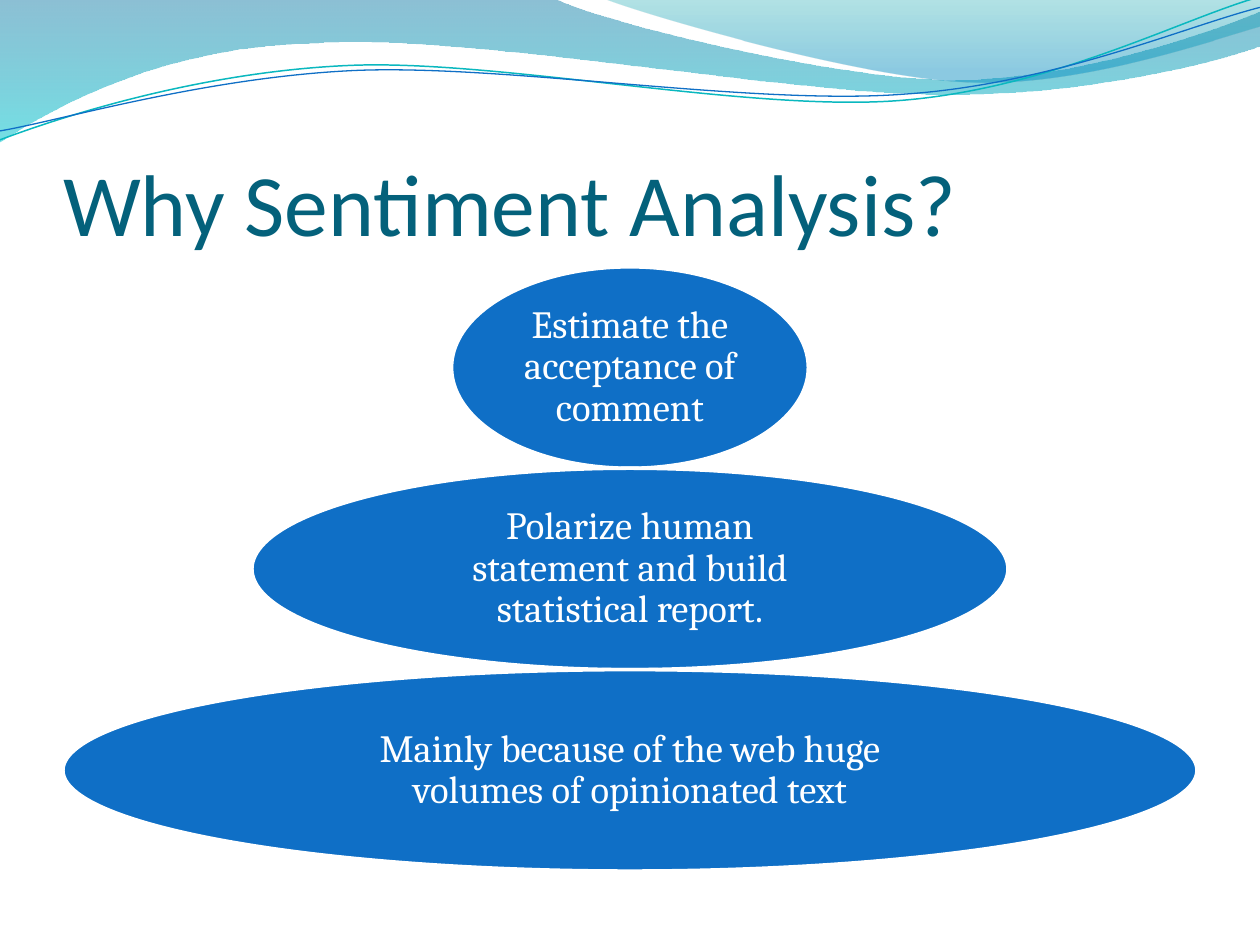
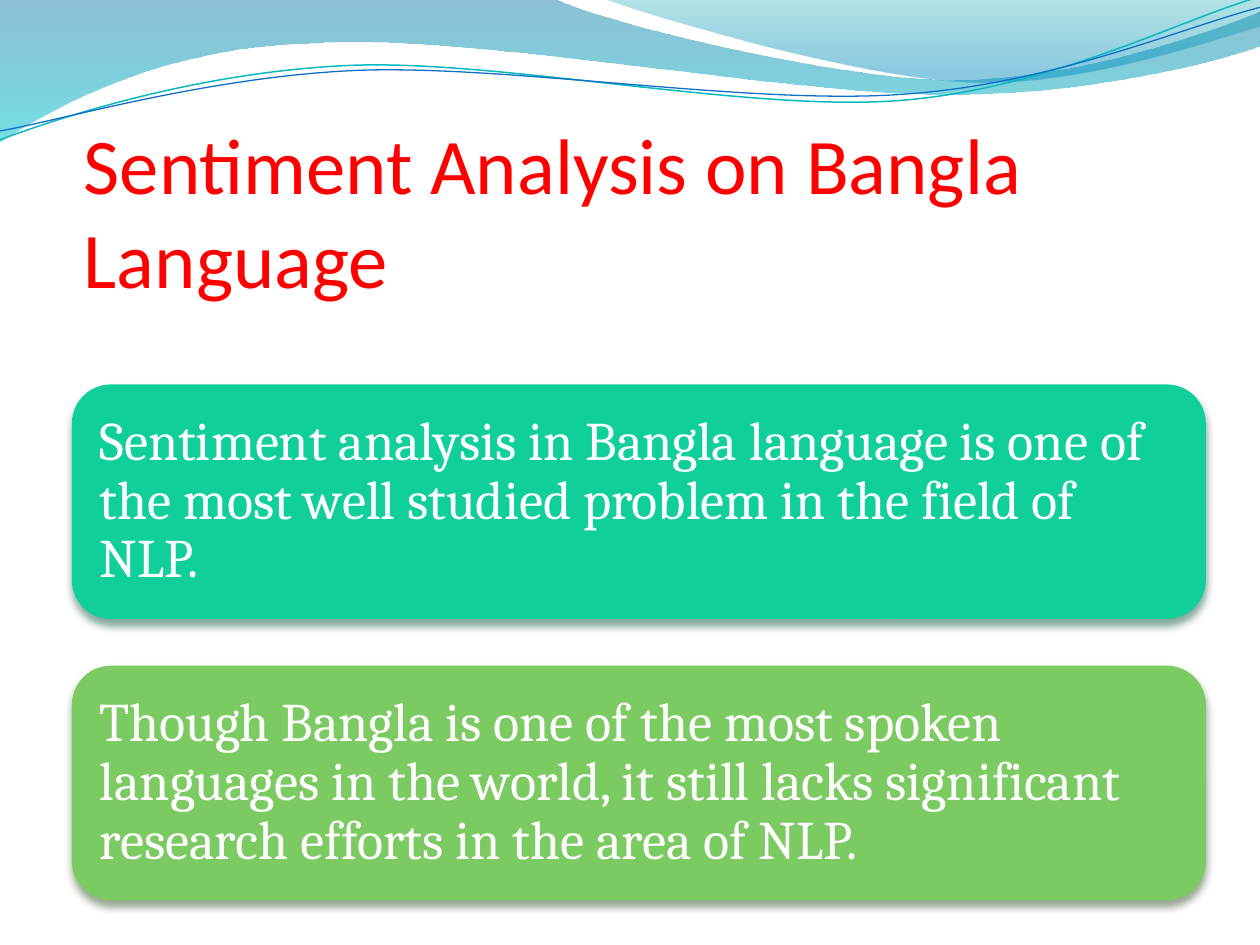
from lxml.etree import Element, SubElement
from pptx import Presentation
from pptx.dml.color import RGBColor
from pptx.enum.shapes import MSO_SHAPE
from pptx.enum.text import MSO_ANCHOR, MSO_AUTO_SIZE, PP_ALIGN
from pptx.oxml.ns import qn
from pptx.util import Cm, Pt

COLORS = {
    "title": "04617B", "red": "FF0000", "white": "FFFFFF", "blue": "0F6FC6",
    "teal": "0AB8BF", "mint": "10CF9B", "mint_shadow": "044A37",
    "green": "7CCA62", "green_shadow": "2B4821",
    "band_top": "0074A1", "band_bottom": "00C6CF",
    "corner_top": "00A1A9", "corner_bottom": "008BBF",
}
COLORS = {name: RGBColor.from_string(value) for name, value in COLORS.items()}
CONTENT_WIDTH = 22.86


def add_wave(shapes, start, segments, close):
    """Draw a freeform; a segment of one point is a line, of three a Bezier curve."""
    builder = shapes.build_freeform(Cm(start[0]), Cm(start[1]))
    builder.add_line_segments(
        [(Cm(x), Cm(y)) for segment in segments for x, y in segment], close=close)
    wave = builder.convert_to_shape()
    wave.shadow.inherit = False
    lines = wave.element.iter(qn("a:lnTo"))
    lines = iter(list(lines))
    for segment in segments:
        group = [next(lines) for _ in segment]
        if len(group) == 3:
            curve = Element(qn("a:cubicBezTo"))
            group[0].addprevious(curve)
            for line in group:
                curve.append(line[0])
                line.getparent().remove(line)
    return wave


def write_text(shape, text, size, font="Cambria", color="white", align=PP_ALIGN.LEFT,
               anchor=MSO_ANCHOR.MIDDLE, margins=(0, 0, 0, 0), line_spacing=None):
    """Fill a shape with one paragraph; margins are left, top, right, bottom in cm."""
    frame = shape.text_frame
    frame.text = text
    frame.word_wrap = True
    frame.auto_size = MSO_AUTO_SIZE.NONE
    frame.vertical_anchor = anchor
    (frame.margin_left, frame.margin_top,
     frame.margin_right, frame.margin_bottom) = map(Cm, margins)
    paragraph = frame.paragraphs[0]
    paragraph.alignment = align
    paragraph.line_spacing = line_spacing
    run_font = paragraph.runs[0].font
    run_font.name = font
    run_font.size = Pt(size)
    run_font.color.rgb = COLORS[color]


presentation = Presentation()
presentation.slide_width = Cm(25.4)
presentation.slide_height = Cm(19.05)
title_only = presentation.slide_layouts[5]

# Both slides and their titles
titles = [
    ("Why Sentiment Analysis?", 1.27, 1.95, 50, "title"),
    ("Sentiment Analysis on Bangla Language", 1.69, 2.96, 45, "red"),
]
for text, left, top, size, color in titles:
    title = presentation.slides.add_slide(title_only).shapes.title
    title.left, title.top = Cm(left), Cm(top)
    title.width, title.height = Cm(CONTENT_WIDTH), Cm(3.18)
    write_text(title, text, size, font="Calibri", color=color,
               anchor=MSO_ANCHOR.BOTTOM, margins=(0, 0.13, 0, 0))
reasons_slide, bangla_slide = presentation.slides

# Waves at the top, drawn once and moved to the slide master
filled_waves = [
    ((0, 0), [
        [(11.18, -0.03)],
        [(12.09, 0.43), (16.87, 1.6), (19.25, 1.6)],
        [(21.67, 1.6), (24.33, 0.66), (25.4, 0.23)],
        [(25.43, 0.91)],
        [(24.97, 1.12), (22.1, 1.93), (18.95, 1.9)],
        [(15.8, 1.9), (9.7, 0.71), (6.53, 0.86)],
        [(3.28, 0.91), (1.17, 2.11), (-0.03, 2.87)],
        [(0, 0)],
    ], [(0, "band_top", 45), (1, "band_bottom", 55)]),
    ((12.17, -0.03), [
        [(12.93, 0.28), (17.32, 1.57), (19.53, 1.65)],
        [(21.74, 1.75), (24.41, 0.81), (25.4, 0.53)],
        [(25.4, 0)],
        [(12.17, -0.03)],
    ], [(0, "corner_top", 30), (0.8, "corner_bottom", 45)]),
]
line_waves = [
    ((0, 2.82), [
        [(1.22, 2.36), (4.01, 1.45), (7.04, 1.32)],
        [(10.03, 1.19), (15.06, 2.26), (18.11, 2.03)],
        [(21.16, 1.8), (23.83, 0.38), (25.35, -0.05)],
    ], "teal", 0.85),
    ((0, 2.64), [
        [(1.19, 2.44), (4.17, 1.55), (7.19, 1.42)],
        [(10.24, 1.3), (15.16, 2.13), (18.21, 1.9)],
        [(21.23, 1.7), (23.9, 0.53), (25.4, 0.15)],
    ], "blue", 0.75),
]
waves = []
for start, segments, stops in filled_waves:
    wave = add_wave(reasons_slide.shapes, start, segments, close=True)
    wave.line.fill.background()
    wave.fill.gradient()
    wave.fill.gradient_angle = 270
    for gradient_stop, (position, color, _) in zip(wave.fill.gradient_stops, stops):
        gradient_stop.position = position
        gradient_stop.color.rgb = COLORS[color]
    for color_element, (_, _, opacity) in zip(wave.element.iter(qn("a:srgbClr")), stops):
        SubElement(color_element, qn("a:alpha"), val=str(opacity * 1000))
    waves.append(wave)

for start, segments, color, width in line_waves:
    wave = add_wave(reasons_slide.shapes, start, segments, close=False)
    wave.fill.background()
    wave.line.color.rgb = COLORS[color]
    wave.line.width = Pt(width)
    waves.append(wave)

master_tree = presentation.slide_master.shapes.element
for index, wave in enumerate(waves):
    wave.element.xpath("p:nvSpPr/p:cNvPr")[0].set("id", str(100 + index))
    master_tree.insert(2 + index, wave.element)

# Slide 1: pyramid of ellipses, each with its width and side margin
reasons = [
    ("Estimate the acceptance of comment", 7.19, 0.08),
    ("Polarize human statement and build statistical report.", 15.24, 1.96),
    ("Mainly because of the web huge volumes of opinionated text", CONTENT_WIDTH, 2.9),
]
ellipse_height = 4.06
for row, (text, width, side_margin) in enumerate(reasons):
    ellipse = reasons_slide.shapes.add_shape(
        MSO_SHAPE.OVAL, Cm(12.7 - width / 2), Cm(5.38 + row * ellipse_height),
        Cm(width), Cm(ellipse_height))
    ellipse.shadow.inherit = False
    ellipse.fill.solid()
    ellipse.fill.fore_color.rgb = COLORS["blue"]
    ellipse.line.color.rgb = COLORS["white"]
    ellipse.line.width = Pt(2)
    write_text(ellipse, text, 22, align=PP_ALIGN.CENTER,
               margins=(side_margin, 0.08) * 2, line_spacing=0.9)

# Slide 2: statement cards
statements = [
    ("Sentiment analysis in Bangla language is one of the most well studied "
     "problem in the field of NLP.", "mint"),
    ("Though Bangla is one of the most spoken languages in the world, it still "
     "lacks significant research efforts in the area of NLP.", "green"),
]
for row, (text, color) in enumerate(statements):
    card = bangla_slide.shapes.add_shape(
        MSO_SHAPE.ROUNDED_RECTANGLE, Cm(1.45), Cm(7.75 + row * 5.67),
        Cm(CONTENT_WIDTH), Cm(4.73))
    card.fill.solid()
    card.fill.fore_color.rgb = COLORS[color]
    card.line.fill.background()
    card.shadow.inherit = False
    effects = card.element.spPr.find(qn("a:effectLst"))
    shadow = SubElement(effects, qn("a:outerShdw"), blurRad=str(Pt(4.5)),
                        dist=str(Pt(3)), dir="5400000", rotWithShape="0")
    shadow_color = SubElement(shadow, qn("a:srgbClr"), val=str(COLORS[color + "_shadow"]))
    SubElement(shadow_color, qn("a:alpha"), val="48000")
    write_text(card, text, 31, margins=(0.33,) * 4, line_spacing=0.9)

presentation.save("out.pptx")
